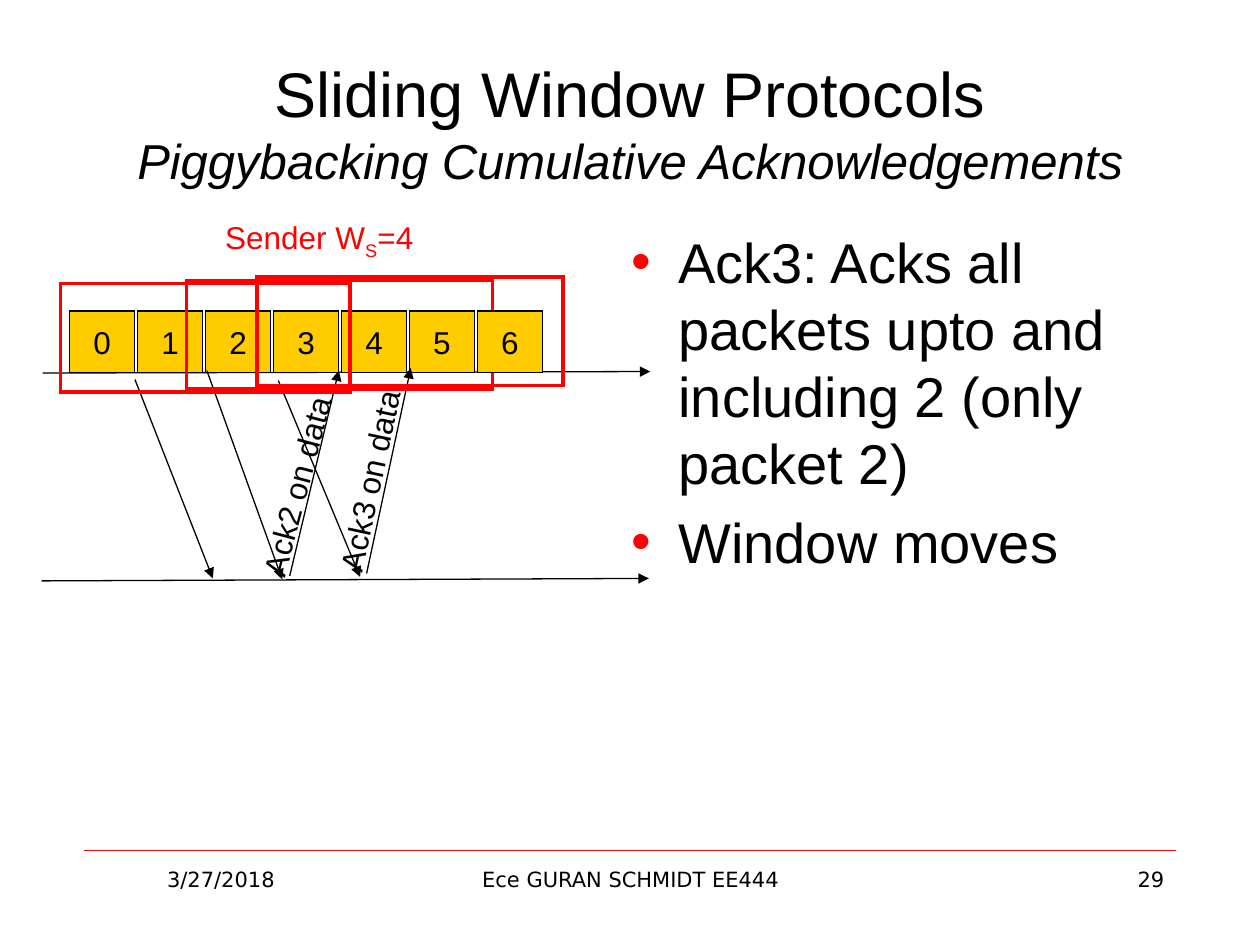
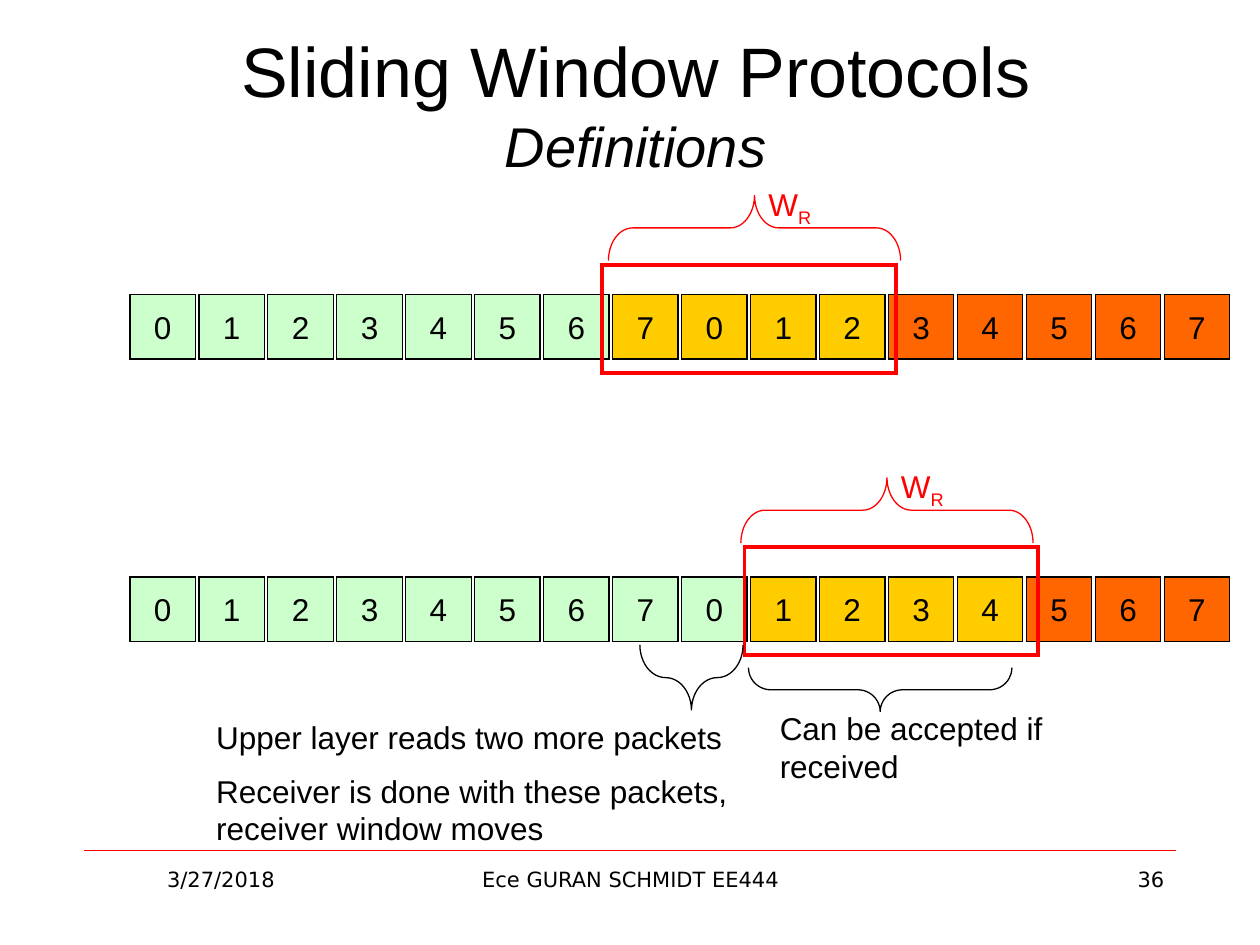
"""Builds two slides on sliding window protocols."""
from lxml import etree
from pptx import Presentation
from pptx import util as u
from pptx.dml.color import RGBColor
from pptx.enum import shapes, text
from pptx.oxml.ns import qn

COLORS = {
    "ink": "000000",
    "accent": "FF0000",
    "done": "CCFFCC",
    "window": "FFCC00",
    "outside": "FF6600",
}
FONT, FOOTER_FONT = "Arial", "DejaVu Sans"
ALIGN = text.PP_ALIGN
CELL_WIDTH = 1.32
WINDOW_HEIGHT = 2.18


def rgb(name):
    return RGBColor.from_string(COLORS[name])


def cm(*lengths):
    return [u.Cm(length) for length in lengths]


def style(para, size, color="ink", font=FONT, align=ALIGN.LEFT):
    para.alignment = align
    para.font.name = font
    para.font.size = u.Pt(size)
    para.font.color.rgb = rgb(color)


def move(placeholder, place):
    placeholder.left, placeholder.top, placeholder.width, placeholder.height = cm(*place)
    placeholder.text_frame.auto_size = text.MSO_AUTO_SIZE.NONE


def add_title(page, place, subtitle, size):
    title = page.shapes.title
    move(title, place)
    title.text_frame.vertical_anchor = text.MSO_ANCHOR.BOTTOM
    para = title.text_frame.paragraphs[0]
    style(para, size, align=ALIGN.CENTER)
    para.add_run().text = "Sliding Window Protocols"
    para.add_line_break()
    span = para.add_run()
    span.text = subtitle
    span.font.size = u.Pt(size - 8)
    span.font.italic = True


def add_bullets(page, place, items):
    body = page.placeholders[1]
    move(body, place)
    frame = body.text_frame
    for index, item in enumerate(items):
        para = frame.add_paragraph() if index else frame.paragraphs[0]
        para.text = item
        para.space_before = u.Pt(6.4 if index else 0)
        bullet_color = etree.SubElement(para._p.get_or_add_pPr(), qn("a:buClr"))
        etree.SubElement(bullet_color, qn("a:srgbClr")).set("val", COLORS["accent"])
        style(para, 32)


def add_label(page, place, *lines, rotation=0, **look):
    """Add a text box; text between underscores becomes subscript."""
    box = page.shapes.add_textbox(*cm(*place))
    box.rotation = rotation
    frame = box.text_frame
    frame.word_wrap = True
    for index, line in enumerate(lines):
        para = frame.add_paragraph() if index else frame.paragraphs[0]
        para.space_before = u.Pt(9 if index else 0)
        style(para, **{"size": 18, **look})
        for position, piece in enumerate(line.split("_")):
            if piece:
                span = para.add_run()
                span.text = piece
                if position % 2:
                    span._r.get_or_add_rPr().set("baseline", "-25000")


def add_line(page, start, end, color="ink", width=0.75, arrow=True):
    line = page.shapes.add_connector(shapes.MSO_CONNECTOR.STRAIGHT, *cm(*start, *end))
    line.line.color.rgb = rgb(color)
    line.line.width = u.Pt(width)
    if arrow:
        etree.SubElement(line.line._get_or_add_ln(), qn("a:tailEnd")).set("type", "triangle")
    etree.SubElement(line._element.spPr, qn("a:effectLst"))


def add_outline(page, kind, place, color, width=0.75):
    shape = page.shapes.add_shape(kind, *cm(*place))
    shape.shadow.inherit = False
    shape.fill.background()
    shape.line.color.rgb = rgb(color)
    shape.line.width = u.Pt(width)
    etree.SubElement(shape.line._get_or_add_ln(), qn("a:miter")).set("lim", "800000")
    return shape


def add_window(page, left, top, width):
    place = (left, top, width, WINDOW_HEIGHT)
    add_outline(page, shapes.MSO_SHAPE.RECTANGLE, place, "accent", 2)


def add_brace(page, place, rotation, curve, color="ink"):
    brace = add_outline(page, shapes.MSO_SHAPE.LEFT_BRACE, place, color)
    brace.rotation = rotation
    brace.adjustments[0] = curve


def add_cell(page, left, top, height, number, fill):
    place = (left, top, CELL_WIDTH, height)
    cell = add_outline(page, shapes.MSO_SHAPE.RECTANGLE, place, "ink")
    cell.fill.solid()
    cell.fill.fore_color.rgb = rgb(fill)
    frame = cell.text_frame
    frame.word_wrap = False
    frame.vertical_anchor = text.MSO_ANCHOR.MIDDLE
    frame.text = str(number)
    style(frame.paragraphs[0], 18, align=ALIGN.CENTER)


def add_footer(page, number):
    add_line(page, (1.7, 17.15), (23.7, 17.15), "accent", 0.25, arrow=False)
    for left, width, words, align in (
        (1.7, 5.51, "3/27/2018", ALIGN.CENTER),
        (8.69, 8.05, "Ece GURAN SCHMIDT EE444", ALIGN.CENTER),
        (18.21, 5.51, str(number), ALIGN.RIGHT),
    ):
        add_label(page, (left, 17.35, width, 1.32), words,
                  size=12, font=FOOTER_FONT, align=align)


def add_page(deck, layout, number):
    page = deck.slides.add_slide(deck.slide_layouts[layout])
    add_footer(page, number)
    return page


def add_sender_cells(page, numbers):
    for number in numbers:
        add_cell(page, 1.4 + 1.37 * number, 6.27, 1.24, number, "window")


def build_piggybacking(deck):
    page = add_page(deck, 1, 29)
    add_title(page, (1.27, 0.76, 22.86, 3.18),
              "Piggybacking Cumulative Acknowledgements", 36)
    add_bullets(page, (12.47, 4.45, 11.96, 12.57), (
        "Ack3: Acks all packets upto and including 2 (only packet 2)",
        "Window moves",
    ))
    time_axes = [((0.86, 7.52), (13.11, 7.49)), ((0.84, 11.71), (13.08, 11.66))]
    data = [((2.72, 7.65), (4.29, 11.66)), ((4.17, 7.47), (5.69, 11.68)),
            ((5.61, 7.67), (7.26, 11.63))]
    acks = [((5.84, 11.61), (6.83, 7.47)), ((7.39, 11.56), (8.28, 7.42))]
    for start, end in time_axes:
        add_line(page, start, end)
    add_sender_cells(page, range(6))
    for start, end in data + acks:
        add_line(page, start, end)
    add_window(page, 3.76, 5.66, 6.17)
    add_window(page, 1.22, 5.72, 5.84)
    add_sender_cells(page, [6])
    add_window(page, 5.18, 5.59, 6.17)
    add_label(page, (3.84, 9.25, 4.29, 1.02), "Ack2 on data", rotation=284.8)
    add_label(page, (5.31, 9.14, 4.29, 1.02), "Ack3 on data", rotation=282.1)
    add_label(page, (4.29, 4.27, 4.83, 1.02), "Sender W_S_=4", color="accent")


def add_receiver_row(page, top, done_count, window_left, brace_left):
    """Draw sixteen numbered cells with the receive window and its brace."""
    fills = ["done"] * done_count + ["window"] * 4 + ["outside"] * (12 - done_count)
    for index, fill in enumerate(fills):
        add_cell(page, 2.62 + 1.39 * index, top, 1.3, index % 8, fill)
    add_window(page, window_left, top - 0.6, 5.92)
    add_brace(page, (brace_left, top - 4.29, 1.32, 5.89), 90, 0.37, "accent")
    add_label(page, (brace_left + 0.69, top - 2.33, 5.99, 1.02), "W_R_", color="accent")


def build_definitions(deck):
    page = add_page(deck, 5, 36)
    add_title(page, (1.17, 1.19, 23.29, 2.54), "Definitions", 40)
    add_receiver_row(page, 5.94, 7, 12.14, 14.55)
    add_receiver_row(page, 11.63, 9, 15.01, 17.22)
    add_brace(page, (13.28, 12.62, 1.32, 2.08), 270, 0.595)
    add_brace(page, (17.3, 11.25, 0.89, 5.31), 270, 0.505)
    add_label(page, (4.11, 14.35, 11.38, 2.95),
              "Upper layer reads two more packets",
              "Receiver is done with these packets, receiver window moves")
    add_label(page, (15.47, 14.17, 5.99, 1.78), "Can be accepted if received")


def main():
    deck = Presentation()
    deck.slide_width, deck.slide_height = cm(25.4, 19.05)
    build_piggybacking(deck)
    build_definitions(deck)
    deck.save("out.pptx")


if __name__ == "__main__":
    main()
